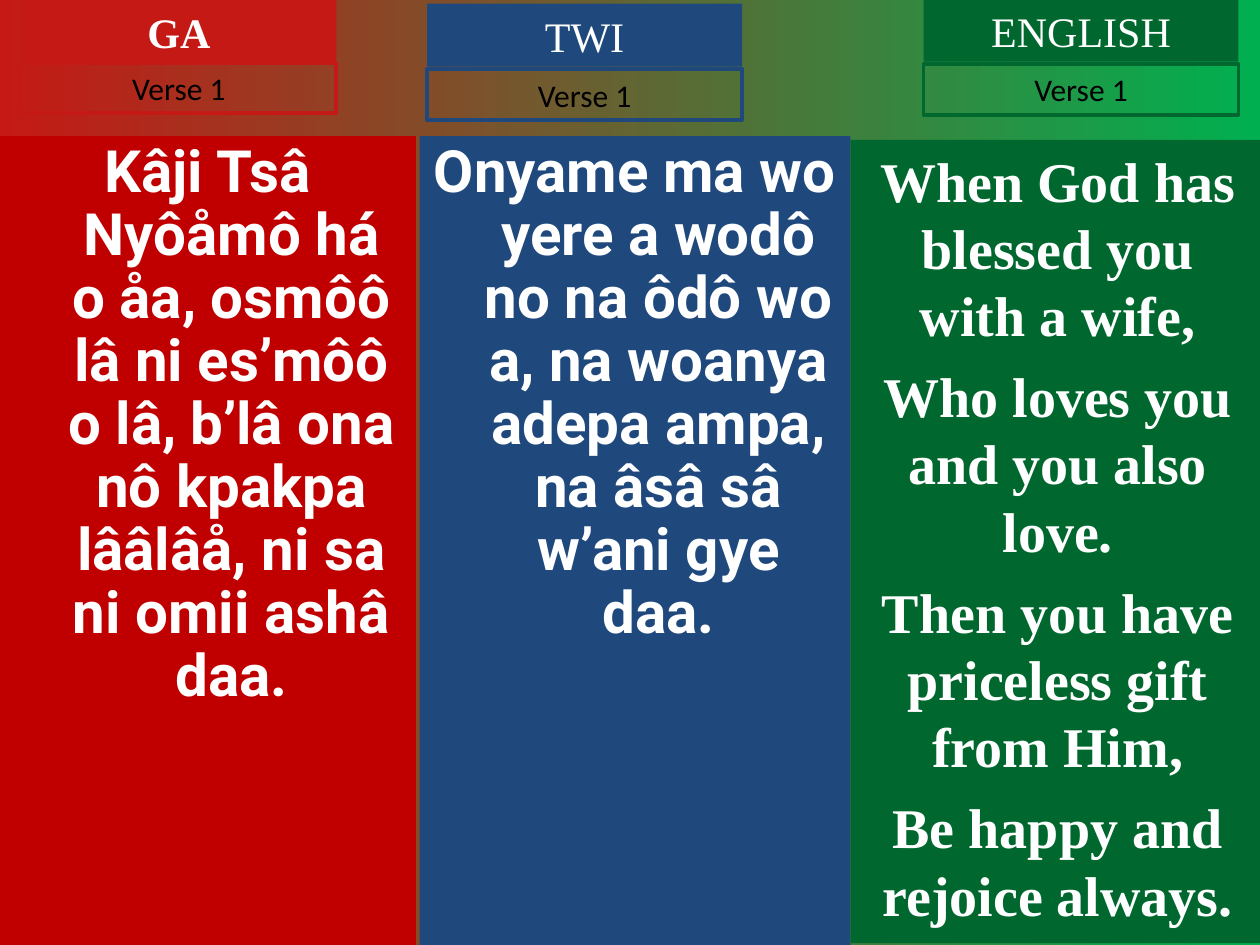
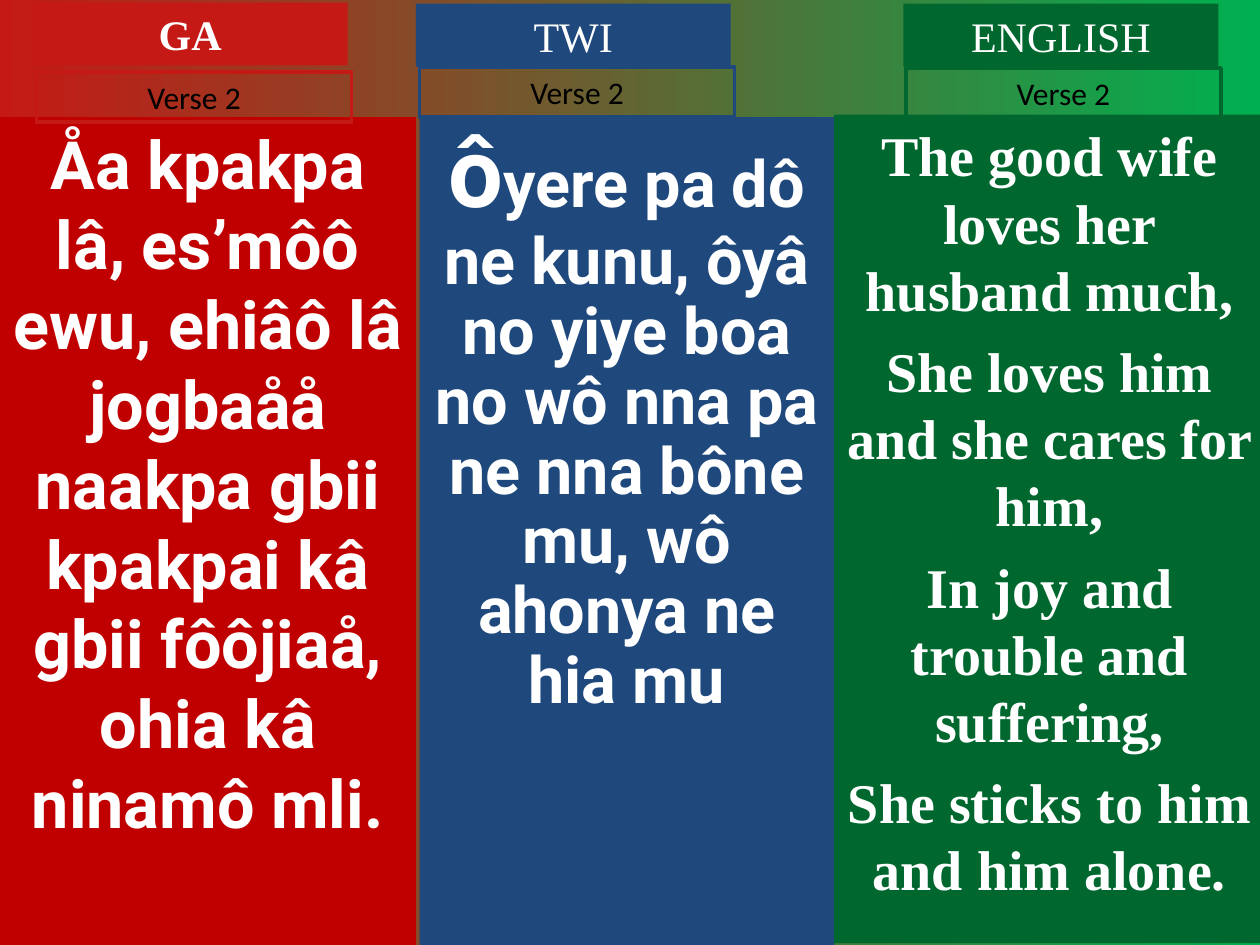
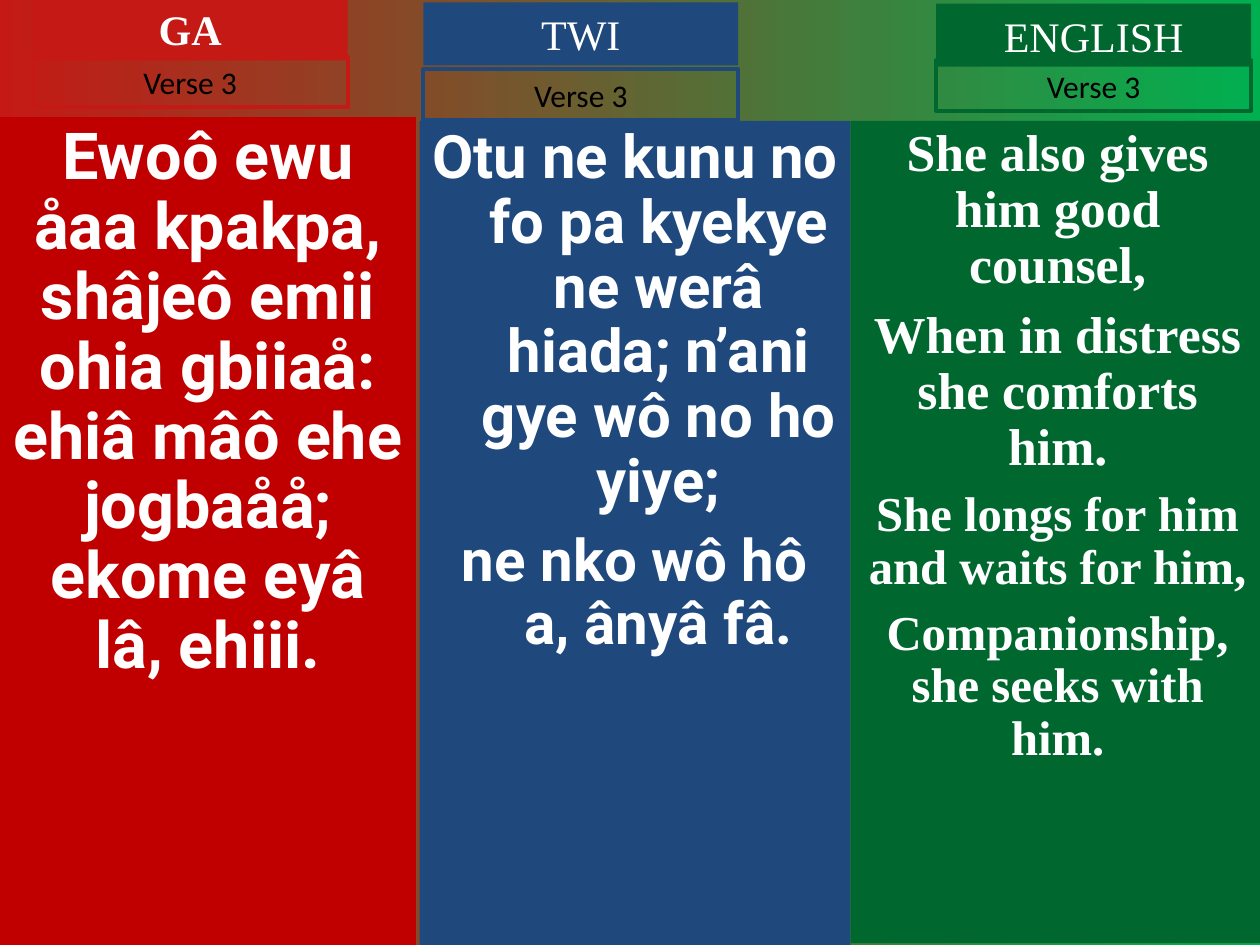
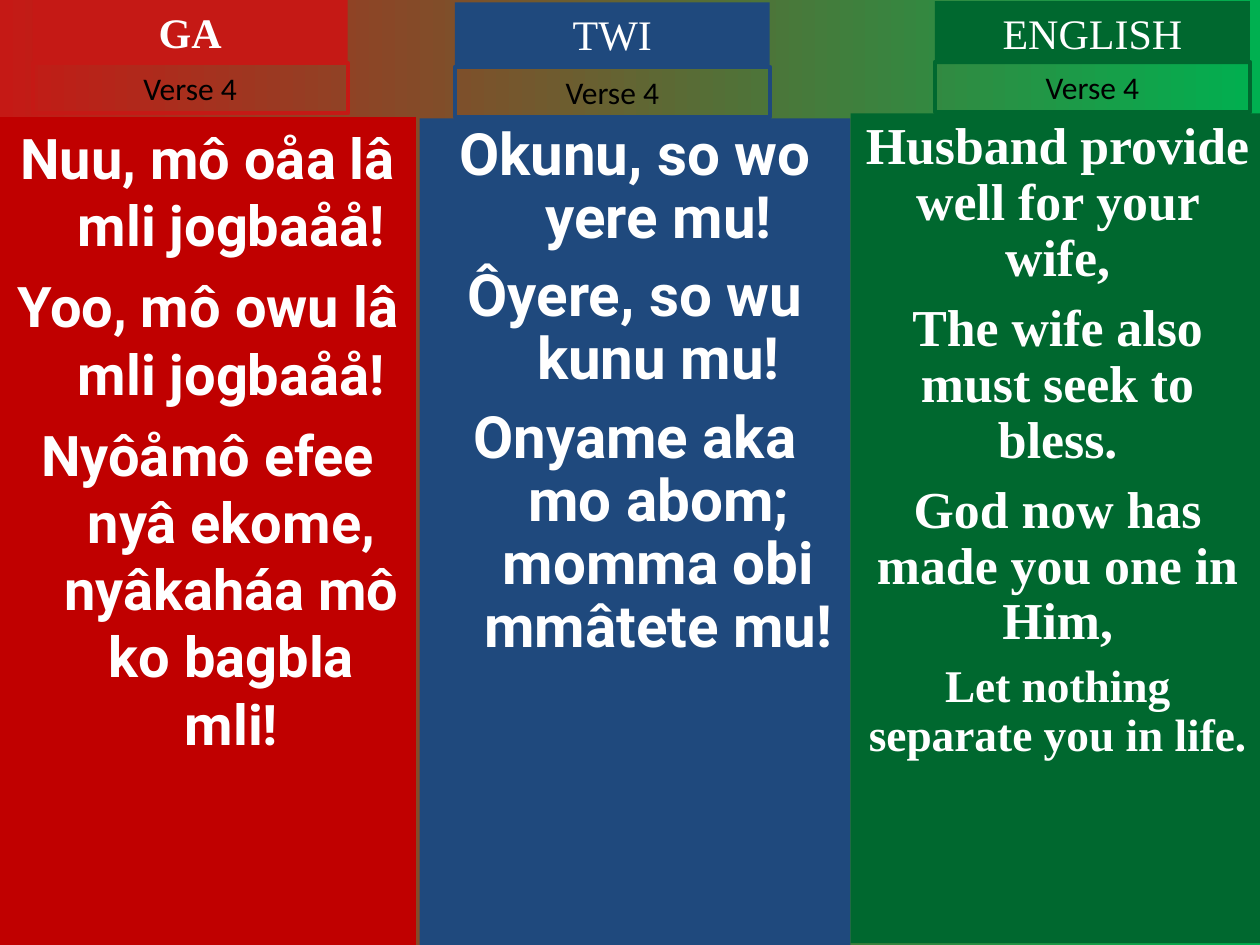
import pptx
import pptx.util
import pptx.dml.color
import pptx.enum.shapes
import pptx.enum.text
from lxml import etree

Pt = pptx.util.Pt
RGBColor = pptx.dml.color.RGBColor

# Shared look
RED = RGBColor(0xC5, 0x19, 0x15)
DARK_RED = RGBColor(0xC0, 0x00, 0x00)
BLUE = RGBColor(0x1F, 0x49, 0x7D)
GREEN = RGBColor(0x00, 0x68, 0x2F)
BRIGHT_GREEN = RGBColor(0x00, 0xB0, 0x50)
WHITE = RGBColor(0xFF, 0xFF, 0xFF)
BLACK = RGBColor(0x00, 0x00, 0x00)
SERIF, SANS, LABEL = "Times New Roman", "Roboto", "Calibri"
RECTANGLE = pptx.enum.shapes.MSO_SHAPE.RECTANGLE
HANGING = 27
HEADING_WIDTH, HEADING_HEIGHT, TAG_HEIGHT = 180, 36, 28.8

# Language, heading colour, panel colour, verse font, bold heading
LANGUAGES = [
    ("GA", RED, DARK_RED, SANS, True),
    ("TWI", BLUE, BLUE, SANS, False),
    ("ENGLISH", GREEN, GREEN, SERIF, False),
]

# One list per verse, one entry per language:
#   panel: left, top, width, bottom; heading and tag: left, top
#   lines: text, size, space before
VERSES = [
    [
        dict(panel=(0, 77.76, 237.6, 540), heading=(12.24, 0), tag=(12.24, 36),
             spacing=0.9, hanging=HANGING, lines=[
                 ("Kâji Tsâ Nyôåmô há o åa, osmôô lâ ni es’môô o lâ, b’lâ ona nô "
                  "kpakpa lââlâå, ni sa ni omii ashâ daa.", 33.3, 0)]),
        dict(panel=(239.76, 77.76, 246.24, 540), heading=(244.08, 2.16), tag=(244.08, 39.6),
             spacing=0.9, hanging=HANGING, lines=[
                 ("Onyame ma wo yere a wodô no na ôdô wo a, na woanya adepa ampa, "
                  "na âsâ sâ w’ani gye daa.", 33.3, 0)]),
        dict(panel=(486, 79.92, 236.88, 539), heading=(527.76, -0.72), tag=(527.76, 36.72),
             lines=[
                 ("When God has blessed you with a wife,", 32, 0),
                 ("Who loves you and you also love.", 32, 8),
                 ("Then you have priceless gift from Him,", 32, 8),
                 ("Be happy and rejoice always.", 32, 8)]),
    ],
    [
        dict(panel=(0, 66.96, 237.6, 540), heading=(18.72, 1.44), tag=(20.88, 41.04),
             lines=[
                 ("Åa kpakpa lâ, es’môô ewu, ehiâô lâ jogbaåå naakpa gbii kpakpai kâ "
                  "gbii fôôjiaå, ohia kâ ninamô mli.", 38, 0)]),
        dict(panel=(239.76, 66.96, 236.88, 540), heading=(237.6, 2.16), tag=(239.76, 38.16),
             spacing=0.9, opener=("ô", 55.5), lines=[
                 ("yere pa dô ne kunu, ôyâ no yiye boa no wô nna pa ne nna bône mu, "
                  "wô ahonya ne hia mu", 37, 0)]),
        dict(panel=(476.64, 65.52, 246.24, 539), heading=(516.24, 2.16), tag=(517.68, 38.88),
             lines=[
                 ("The good wife loves her husband much,", 32, 0),
                 ("She loves him and she cares for him,", 32, 8),
                 ("In joy and trouble and suffering,", 32, 8),
                 ("She sticks to him and him alone.", 32, 8)]),
    ],
    [
        dict(panel=(0, 66.96, 237.6, 540), heading=(18.72, -1.44), tag=(18.72, 32.4),
             spacing=0.9, lines=[
                 ("Ewoô ewu åaa kpakpa, shâjeô emii ohia gbiiaå: ehiâ mâô ehe "
                  "jogbaåå; ekome eyâ lâ, ehiii.", 37, 0)]),
        dict(panel=(239.76, 69.12, 246.24, 540), heading=(241.92, 1.44), tag=(241.92, 39.6),
             spacing=0.9, hanging=HANGING, lines=[
                 ("Otu ne kunu no fo pa kyekye ne werâ hiada; n’ani gye wô no ho yiye;",
                  34.2, 0),
                 ("ne nko wô hô a, ânyâ fâ.", 33.3, 9)]),
        dict(panel=(486, 69.12, 236.88, 539), heading=(534.96, 2.16), tag=(534.96, 34.56),
             spacing=0.9, lines=[
                 ("She also gives him good counsel,", 29.6, 0),
                 ("When in distress she comforts him.", 29.6, 8),
                 ("She longs for him and waits for him,", 27.8, 7.5),
                 ("Companionship, she seeks with him.", 27.8, 7.5)]),
    ],
    [
        dict(panel=(0, 66.96, 237.6, 540), heading=(18.72, 0), tag=(18.72, 36),
             hanging=HANGING, lines=[
                 ("Nuu, mô oåa lâ mli jogbaåå!", 32, 0),
                 ("Yoo, mô owu lâ mli jogbaåå!", 32, 8),
                 ("Nyôåmô efee nyâ ekome, nyâkaháa mô ko bagbla mli!", 32, 8)]),
        dict(panel=(239.76, 67.68, 246.24, 540), heading=(259.92, 1.44), tag=(259.92, 38.16),
             spacing=0.9, hanging=HANGING, lines=[
                 ("Okunu, so wo yere mu!", 33.3, 0),
                 ("Ôyere, so wu kunu mu!", 33.3, 9),
                 ("Onyame aka mo abom; momma obi mmâtete mu!", 33.3, 9)]),
        dict(panel=(486, 64.8, 236.88, 539), heading=(534.24, 0.72), tag=(534.24, 35.28),
             spacing=0.9, lines=[
                 ("Husband provide well for your wife,", 29.6, 0),
                 ("The wife also must seek to bless.", 29.6, 8),
                 ("God now has made you one in Him,", 29.6, 8),
                 ("Let nothing separate you in life.", 25.9, 7)]),
    ],
]


def write(box, lines, font, color, bold=False, spacing=1.0, hanging=0, opener=None,
          anchor=pptx.enum.text.MSO_ANCHOR.MIDDLE):
    """Fill a box with centred paragraphs given as (text, size, space before)."""
    frame = box.text_frame
    frame.word_wrap = True
    frame.auto_size = pptx.enum.text.MSO_AUTO_SIZE.NONE
    frame.vertical_anchor = anchor
    frame.margin_left = frame.margin_right = Pt(7.2)
    frame.margin_top = frame.margin_bottom = Pt(3.6)
    for number, (text, size, space) in enumerate(lines):
        paragraph = frame.add_paragraph() if number else frame.paragraphs[0]
        paragraph.alignment = pptx.enum.text.PP_ALIGN.CENTER
        paragraph.line_spacing = spacing
        paragraph.space_before = Pt(space)
        properties = paragraph._p.get_or_add_pPr()
        properties.set("marL", str(Pt(hanging)))
        properties.set("indent", str(-Pt(hanging)))
        etree.SubElement(properties, pptx.oxml.ns.qn("a:buNone"))
        runs = [(text, size)]
        if opener and number == 0:
            runs.insert(0, opener)
        for words, points in runs:
            run = paragraph.add_run()
            run.text = words
            run.font.name = font
            run.font.size = Pt(points)
            run.font.bold = bold
            run.font.color.rgb = color


def place(box, left, top, width, height, fill=None, line=None):
    """Set a box's place, fill and outline."""
    box.left, box.top, box.width, box.height = Pt(left), Pt(top), Pt(width), Pt(height)
    if fill is None:
        box.fill.background()
    else:
        box.fill.solid()
        box.fill.fore_color.rgb = fill
    if line is None:
        box.line.fill.background()
    else:
        box.line.color.rgb = line
        box.line.width = Pt(2.25)
    box.shadow.inherit = False


deck = pptx.Presentation()
deck.slide_width, deck.slide_height = Pt(720), Pt(540)
two_content = deck.slide_layouts[3]

# Background from red to green, on the master
backdrop = deck.slide_master.background.fill
backdrop.gradient()
backdrop.gradient_angle = 0
for stop, color, position in zip(backdrop.gradient_stops, (RED, BRIGHT_GREEN), (0, 1)):
    stop.color.rgb = color
    stop.position = position

for verse_number, columns in enumerate(VERSES, start=1):
    slide = deck.slides.add_slide(two_content)
    shapes = slide.shapes

    # Verse panels
    panels = [slide.placeholders[1], slide.placeholders[2],
              shapes.add_shape(RECTANGLE, 0, 0, 0, 0)]
    for panel, column, (_, _, color, font, _) in zip(panels, columns, LANGUAGES):
        left, top, width, bottom = column["panel"]
        place(panel, left, top, width, bottom - top, fill=color)
        write(panel, column["lines"], font, WHITE, bold=True,
              spacing=column.get("spacing", 1.0), hanging=column.get("hanging", 0),
              opener=column.get("opener"), anchor=pptx.enum.text.MSO_ANCHOR.TOP)

    # Language headings, the first one being the slide title, and verse tags
    for column, (language, color, _, _, bold) in zip(columns, LANGUAGES):
        if language == "GA":
            heading = shapes.title
        else:
            heading = shapes.add_shape(RECTANGLE, 0, 0, 0, 0)
        place(heading, *column["heading"], HEADING_WIDTH, HEADING_HEIGHT, fill=color)
        write(heading, [(language, 24, 0)], SERIF, WHITE, bold=bold)

        tag = shapes.add_shape(RECTANGLE, 0, 0, 0, 0)
        place(tag, *column["tag"], HEADING_WIDTH, TAG_HEIGHT, line=color)
        write(tag, [(f"Verse {verse_number}", 18, 0)], LABEL, BLACK)

deck.save("out.pptx")
